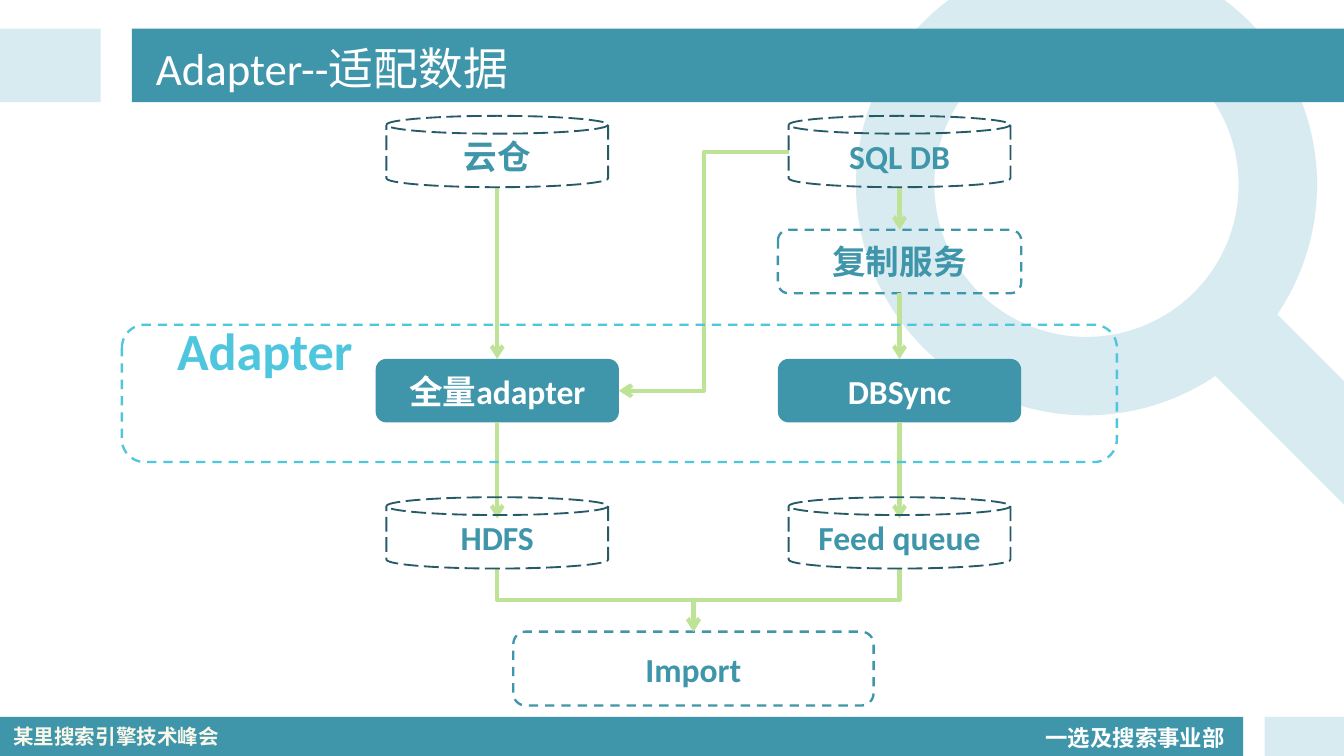
import pptx
import pptx.util
import pptx.dml.color
import pptx.enum.dml
import pptx.enum.shapes
import pptx.enum.text
import pptx.oxml
import pptx.oxml.ns

Pt = pptx.util.Pt
Kind = pptx.enum.shapes.MSO_SHAPE
Wire = pptx.enum.shapes.MSO_CONNECTOR
Dash = pptx.enum.dml.MSO_LINE
Mid = pptx.enum.text.MSO_ANCHOR.MIDDLE
Align = pptx.enum.text.PP_ALIGN

TEAL, PALE, DARK = "3F95AA", "D7EBF0", "265A67"
AQUA, GREEN, WHITE, CREAM = "4EC6DE", "BEE396", "FFFFFF", "F9F7EA"
LATIN, ASIAN = "Calibri", "Noto Sans CJK SC"


def tint(code):
    return pptx.dml.color.RGBColor.from_string(code)


def node(tag, **attrs):
    item = pptx.oxml.parse_xml(f"<a:{tag} {pptx.oxml.ns.nsdecls('a')}/>")
    for key, val in attrs.items():
        item.set(key, val)
    return item


def write(frame, text, size=18, color=TEAL, bold=True, font=LATIN,
          align=Align.LEFT, anchor=None, wrap=True, space=None):
    frame.word_wrap = wrap
    if anchor is not None:
        frame.vertical_anchor = anchor
    para = frame.paragraphs[0]
    para.alignment = align
    para.line_spacing = space
    run = para.add_run()
    run.text = text
    run.font.size = Pt(size)
    run.font.bold = bold
    run.font.name = font
    run.font.color.rgb = tint(color)
    run.font._element.find(pptx.oxml.ns.qn("a:latin")).addnext(
        node("ea", typeface=ASIAN))


class Board:
    def __init__(self, deck):
        self.slide = deck.slides.add_slide(deck.slide_layouts[5])
        self.shapes = self.slide.shapes

    def title(self, text, x, y, w, h):
        # Brought to the front, over the title band
        head = self.shapes.title
        self.shapes._spTree.append(head._element)
        head.left, head.top, head.width, head.height = map(Pt, (x, y, w, h))
        write(head.text_frame, text, size=24, color=WHITE, bold=False, anchor=Mid)

    def shape(self, kind, x, y, w, h, fill=None, line=None, width=1.25,
              dash=Dash.DASH, text=None, color=TEAL):
        item = self.shapes.add_shape(kind, Pt(x), Pt(y), Pt(w), Pt(h))
        item.shadow.inherit = False
        if fill:
            item.fill.solid()
            item.fill.fore_color.rgb = tint(fill)
        else:
            item.fill.background()
        if line:
            item.line.color.rgb = tint(line)
            item.line.width = Pt(width)
            item.line.dash_style = dash
        else:
            item.line.fill.background()
        if text:
            write(item.text_frame, text, color=color, align=Align.CENTER, anchor=Mid)
        return item

    def box(self, text, mid, y, w=130.3, h=34, solid=False):
        look = dict(fill=TEAL, color=WHITE) if solid else dict(line=TEAL)
        return self.shape(Kind.ROUNDED_RECTANGLE, mid - w / 2, y, w, h, text=text, **look)

    def can(self, text, mid, y):
        return self.shape(Kind.CAN, mid - CAN_W / 2, y, CAN_W, CAN_H, line=DARK,
                          width=1, dash=Dash.LONG_DASH, text=text)

    def label(self, text, x, y, w, h, **form):
        item = self.shapes.add_textbox(Pt(x), Pt(y), Pt(w), Pt(h))
        write(item.text_frame, text, **form)

    def wire(self, x1, y1, x2, y2, kind=Wire.STRAIGHT, start=None, end=None):
        link = self.shapes.add_connector(kind, Pt(x1), Pt(y1), Pt(x2), Pt(y2))
        if start is not None:
            link.begin_connect(start, 2)
        if end is not None:
            link.end_connect(end, 0)
        link.line.color.rgb = tint(GREEN)
        link.line.width = Pt(2.25)
        link.line._get_or_add_ln().append(node("tailEnd", type="arrow"))
        link._element.spPr.append(node("effectLst"))
        return link

    def drop(self, x1, y1, x2, y2):
        # Elbow that leaves downward: a sideways elbow turned a quarter
        midx, midy = (x1 + x2) / 2, (y1 + y2) / 2
        half, rise = (y2 - y1) / 2, abs(x2 - x1) / 2
        right = x2 > x1
        if right:
            half = -half
        link = self.wire(midx - half, midy - rise, midx + half, midy + rise, Wire.ELBOW)
        link._element.spPr.xfrm.set("rot", "16200000" if right else "5400000")


# Grid: two column centres and the row tops
LEFT, RIGHT, JOIN = 266.4, 481.9, 371.5
CAN_W, CAN_H, LID = 118.8, 38.2, 11.4
TOP, COPY, CORE, STORE, LAST = 62.1, 123.1, 192.3, 266.4, 338.4
CORE_H = 34

deck = pptx.Presentation()
deck.slide_width, deck.slide_height = Pt(720), Pt(405)
board = Board(deck)

# Magnifier behind the content
ring = board.shape(Kind.DONUT, 458.6, -24.5, 247, 247, fill=PALE)
ring.adjustments[0] = 0.17
grip = board.shape(Kind.ROUNDED_RECTANGLE, 623.5, 194.4, 154, 46.8, fill=PALE)
grip.adjustments[0] = 0.5
grip.rotation = 45

# Header and footer bands
for x, y, w, h, fill in ((0, 384, 666, 21, TEAL), (677.5, 384, 42.5, 21, PALE),
                         (0, 15.4, 54, 39.4, PALE), (70.6, 15.4, 649.4, 39.4, TEAL)):
    board.shape(Kind.RECTANGLE, x, y, w, h, fill=fill)
board.label("一选及搜索事业部", 553, 381.6, 111.6, 23.8, size=12, color=WHITE,
            wrap=False, space=1.2)
board.label("某里搜索引擎技术峰会", 0, 384.5, 127.4, 20.6, size=11, color=CREAM, font=ASIAN)

# Boxes
full = board.box("全量adapter", LEFT, CORE, solid=True)
load = board.box("Import", JOIN, LAST, w=193, h=39.6)
feed = board.box("复制服务", RIGHT, COPY)
sync = board.box("DBSync", RIGHT, CORE, solid=True)

# Arrows
for mid, core in ((LEFT, full), (RIGHT, sync)):
    board.wire(mid, CORE + CORE_H, mid, STORE + LID, start=core)
    board.drop(mid, STORE + CAN_H, JOIN, LAST)
board.wire(RIGHT, COPY + CORE_H, RIGHT, CORE, start=feed, end=sync)
board.wire(RIGHT, TOP + CAN_H, RIGHT, COPY, end=feed)
board.wire(LEFT, TOP + CAN_H, LEFT, CORE, end=full)
board.wire(RIGHT - CAN_W / 2, TOP + CAN_H / 2, LEFT + 65.15, CORE + CORE_H / 2, Wire.ELBOW)

# Adapter frame
board.shape(Kind.ROUNDED_RECTANGLE, 65.3, 174, 533, 73.6, line=AQUA)
board.label("Adapter", 87.8, 167, 175.7, 41, size=28, color=AQUA)

# Data stores
for text, mid, y in (("Feed queue", RIGHT, STORE), ("云仓", LEFT, TOP),
                     ("HDFS", LEFT, STORE), ("SQL DB", RIGHT, TOP)):
    board.can(text, mid, y)

board.title("Adapter--适配数据", 76.3, 16.6, 607.7, 38.9)

deck.save("out.pptx")
